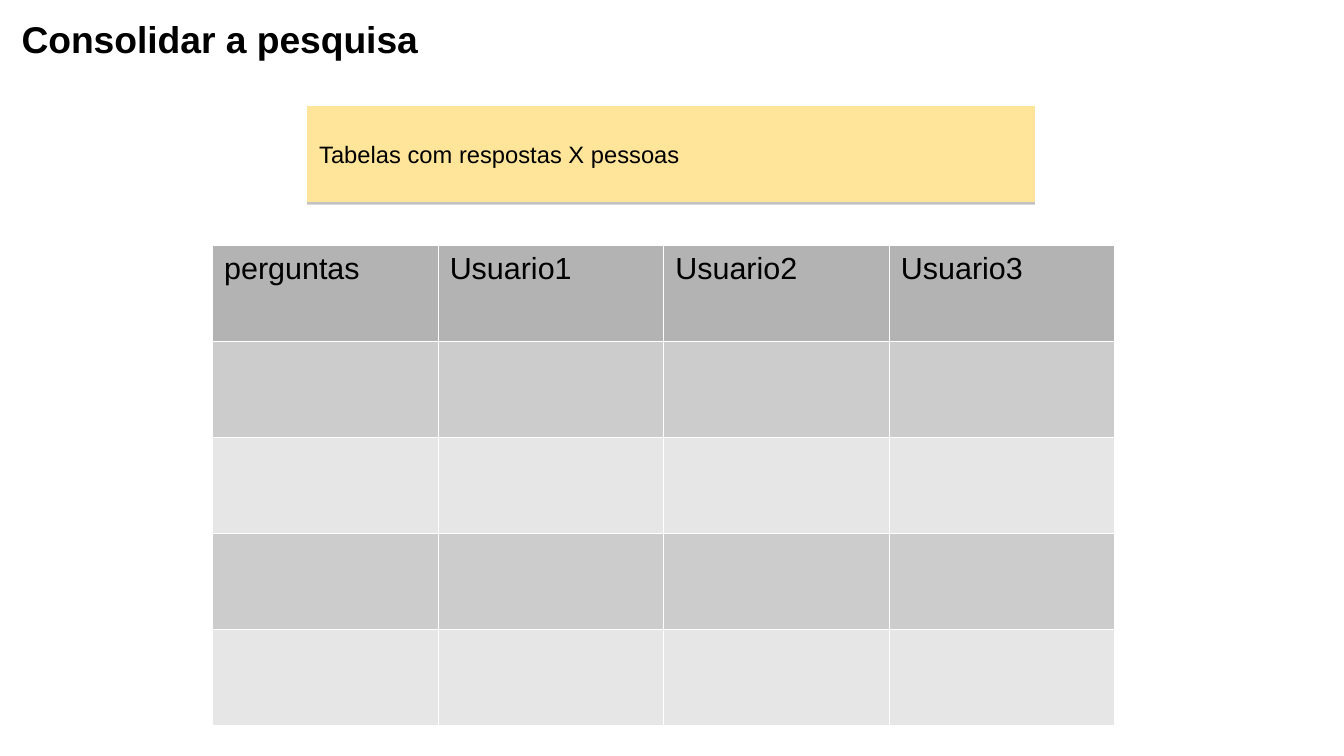
from lxml import etree
from pptx import Presentation
from pptx.dml.color import RGBColor
from pptx.enum.shapes import MSO_SHAPE
from pptx.enum.text import MSO_ANCHOR, PP_ALIGN
from pptx.oxml.ns import qn
from pptx.util import Cm, Pt

RECTANGLE = MSO_SHAPE.RECTANGLE
MIDDLE = MSO_ANCHOR.MIDDLE
LEFT = PP_ALIGN.LEFT

BLACK = RGBColor(0x00, 0x00, 0x00)
WHITE = RGBColor(0xFF, 0xFF, 0xFF)
YELLOW = RGBColor(0xFF, 0xE5, 0x99)
HEADER_GRAY = RGBColor(0xB3, 0xB3, 0xB3)
BAND_GRAYS = (RGBColor(0xCC, 0xCC, 0xCC), RGBColor(0xE6, 0xE6, 0xE6))

FONT = "Arial"
HEADERS = ("perguntas", "Usuario1", "Usuario2", "Usuario3")
ROWS = 5
COL_WIDTH, ROW_HEIGHT = Cm(4.7), Cm(2)
BORDER_WIDTH = Pt(0.06)


def set_text(tf, text, size, bold=False):
    tf.text = text
    p = tf.paragraphs[0]
    p.alignment = LEFT
    font = p.runs[0].font
    font.name, font.size, font.bold = FONT, Pt(size), bold
    font.color.rgb = BLACK


def set_margins(tf, horizontal, vertical):
    tf.margin_left = tf.margin_right = horizontal
    tf.margin_top = tf.margin_bottom = vertical


def add_title(s, text):
    tf = s.shapes.add_textbox(Cm(0.2), Cm(0.2), Cm(10.2), Cm(1.12)).text_frame
    tf.word_wrap = True
    set_margins(tf, Cm(0.25), Cm(0.13))
    set_text(tf, text, 22, bold=True)


def add_shadow(sp):
    sp.shadow.inherit = False
    effects = sp._element.spPr.find(qn("a:effectLst"))
    shadow = etree.SubElement(effects, qn("a:outerShdw"), blurRad="0",
                              dist=str(Pt(1.5)), dir="5400000",
                              algn="t", rotWithShape="0")
    color = etree.SubElement(shadow, qn("a:srgbClr"), val=str(BLACK))
    etree.SubElement(color, qn("a:alpha"), val="24000")


def add_note(s, text):
    sp = s.shapes.add_shape(RECTANGLE, Cm(6.4), Cm(2.21), Cm(15.16), Cm(2))
    sp.fill.solid()
    sp.fill.fore_color.rgb = YELLOW
    sp.line.fill.background()
    add_shadow(sp)
    tf = sp.text_frame
    tf.word_wrap = True
    tf.vertical_anchor = MIDDLE
    set_margins(tf, Cm(0.25), Cm(0.25))
    set_text(tf, text, 14)


def set_borders(cell):
    tc_pr = cell._tc.get_or_add_tcPr()
    for side in ("a:lnL", "a:lnR", "a:lnT", "a:lnB"):
        line = etree.SubElement(tc_pr, qn(side), w=str(BORDER_WIDTH))
        fill = etree.SubElement(line, qn("a:solidFill"))
        etree.SubElement(fill, qn("a:srgbClr"), val=str(WHITE))


def add_answer_table(s):
    cols = len(HEADERS)
    table = s.shapes.add_table(ROWS, cols, Cm(4.42), Cm(5.11),
                               COL_WIDTH * cols, ROW_HEIGHT * ROWS).table
    table.first_row = table.horz_banding = False
    for column in table.columns:
        column.width = COL_WIDTH
    for i, row in enumerate(table.rows):
        row.height = ROW_HEIGHT
        for cell in row.cells:
            set_borders(cell)
            set_margins(cell, Cm(0.25), Cm(0.13))
            cell.fill.solid()
            cell.fill.fore_color.rgb = BAND_GRAYS[(i - 1) % 2] if i else HEADER_GRAY
    for cell, header in zip(table.rows[0].cells, HEADERS):
        set_text(cell.text_frame, header, 18)


def main():
    prs = Presentation()
    prs.slide_width, prs.slide_height = Cm(28), Cm(15.75)
    s = prs.slides.add_slide(prs.slide_layouts[6])

    # Heading and note
    add_title(s, "Consolidar a pesquisa")
    add_note(s, "Tabelas com respostas X pessoas")

    # Questions by user
    add_answer_table(s)

    prs.save("out.pptx")


if __name__ == "__main__":
    main()
